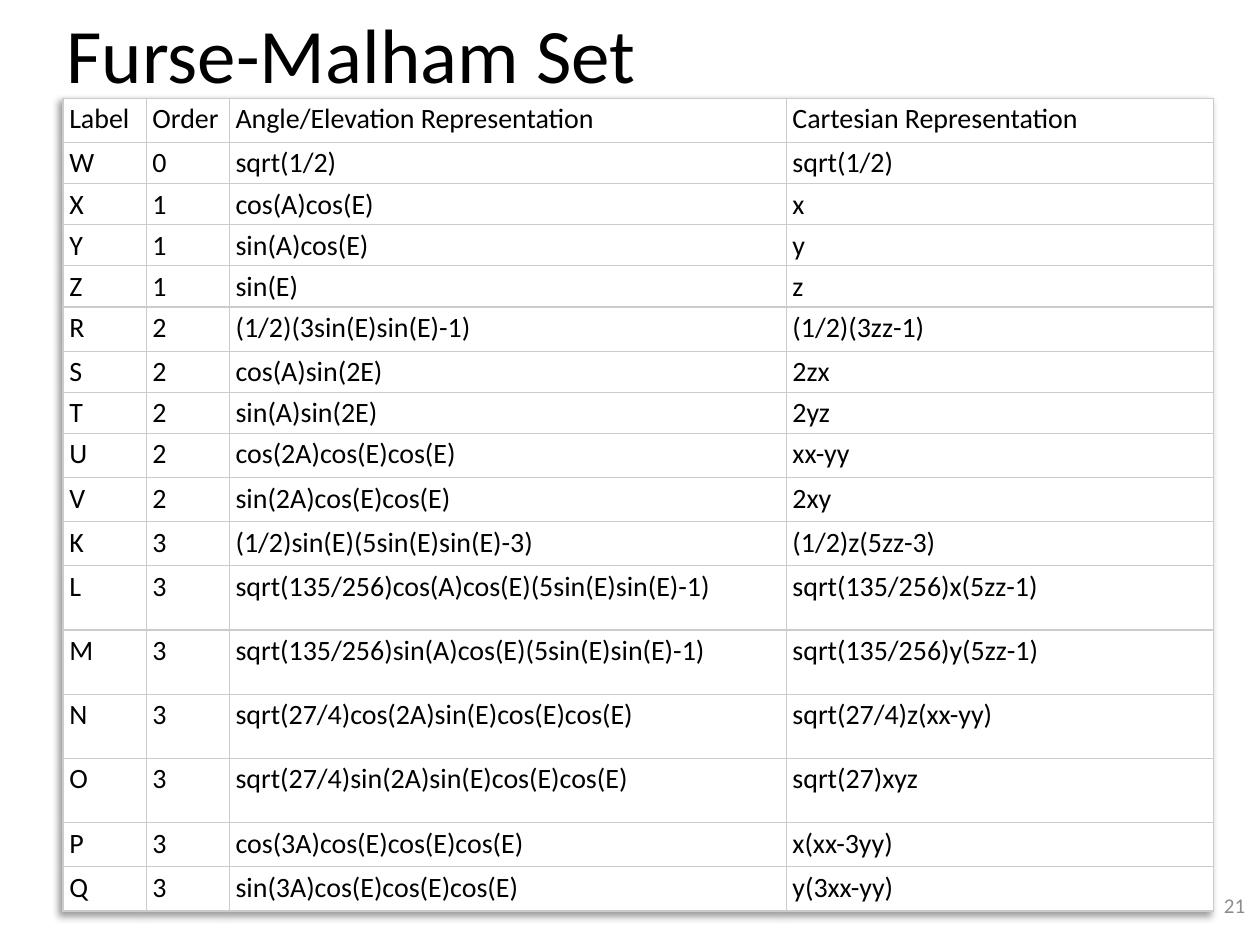
from dataclasses import dataclass

from pptx import Presentation
from pptx import util as u
from pptx.dml.color import RGBColor
from pptx.enum import text
from pptx.oxml import parse_xml
from pptx.oxml.ns import nsdecls


@dataclass(frozen=True)
class Theme:
    font: str = "Calibri"
    ink: str = "000000"
    paper: str = "FFFFFF"
    rule: str = "CCCCCC"
    mute: str = "8C8C8C"
    title: int = 44
    body: int = 16
    note: int = 12


SMALL, MID, TALL = 0.32, 0.35, 0.51
COLS = (0.66, 0.66, 4.42, 3.39)
ROWS = (
    (MID, "Label", "Order", "Angle/Elevation Representation", "Cartesian Representation"),
    (SMALL, "W", "0", "sqrt(1/2)", "sqrt(1/2)"),
    (SMALL, "X", "1", "cos(A)cos(E)", "x"),
    (SMALL, "Y", "1", "sin(A)cos(E)", "y"),
    (SMALL, "Z", "1", "sin(E)", "z"),
    (MID, "R", "2", "(1/2)(3sin(E)sin(E)-1)", "(1/2)(3zz-1)"),
    (SMALL, "S", "2", "cos(A)sin(2E)", "2zx"),
    (SMALL, "T", "2", "sin(A)sin(2E)", "2yz"),
    (MID, "U", "2", "cos(2A)cos(E)cos(E)", "xx-yy"),
    (MID, "V", "2", "sin(2A)cos(E)cos(E)", "2xy"),
    (MID, "K", "3", "(1/2)sin(E)(5sin(E)sin(E)-3)", "(1/2)z(5zz-3)"),
    (TALL, "L", "3", "sqrt(135/256)cos(A)cos(E)(5sin(E)sin(E)-1)", "sqrt(135/256)x(5zz-1)"),
    (TALL, "M", "3", "sqrt(135/256)sin(A)cos(E)(5sin(E)sin(E)-1)", "sqrt(135/256)y(5zz-1)"),
    (TALL, "N", "3", "sqrt(27/4)cos(2A)sin(E)cos(E)cos(E)", "sqrt(27/4)z(xx-yy)"),
    (TALL, "O", "3", "sqrt(27/4)sin(2A)sin(E)cos(E)cos(E)", "sqrt(27)xyz"),
    (MID, "P", "3", "cos(3A)cos(E)cos(E)cos(E)", "x(xx-3yy)"),
    (MID, "Q", "3", "sin(3A)cos(E)cos(E)cos(E)", "y(3xx-yy)"),
)


class Deck:
    """Draws styled elements on the current slide."""

    def __init__(self, theme):
        self.theme = theme
        self.prs = Presentation()
        self.prs.slide_width, self.prs.slide_height = u.Inches(10), u.Inches(7.5)
        self.slide = self.prs.slides.add_slide(self.prs.slide_layouts[6])

    def style(self, para, size, color):
        font = para.font
        font.name, font.size = self.theme.font, u.Pt(size)
        font.color.rgb = RGBColor.from_string(color)

    def label(self, words, box, size, color, align=text.PP_ALIGN.LEFT, lead=1.0):
        frame = self.slide.shapes.add_textbox(*map(u.Inches, box)).text_frame
        frame.word_wrap = True
        frame.vertical_anchor = text.MSO_ANCHOR.MIDDLE
        para = frame.paragraphs[0]
        para.text, para.alignment, para.line_spacing = words, align, lead
        self.style(para, size, color)

    def cell(self, cell, words):
        cell.text = words
        cell.margin_left = cell.margin_right = u.Inches(0.05)
        cell.margin_top = cell.margin_bottom = u.Inches(0.03)
        self.style(cell.text_frame.paragraphs[0], self.theme.body, self.theme.ink)
        props = cell._tc.get_or_add_tcPr()
        for side in ("lnL", "lnR", "lnT", "lnB"):
            props.append(parse_xml(
                f'<a:{side} {nsdecls("a")} w="{u.Pt(0.75)}"><a:solidFill>'
                f'<a:srgbClr val="{self.theme.rule}"/></a:solidFill></a:{side}>'))
        cell.fill.solid()
        cell.fill.fore_color.rgb = RGBColor.from_string(self.theme.paper)

    def table(self, left, top, cols, rows):
        size = sum(cols), sum(row[0] for row in rows)
        box = map(u.Inches, (left, top, *size))
        table = self.slide.shapes.add_table(len(rows), len(cols), *box).table
        table.first_row = table.horz_banding = False
        for col, width in zip(table.columns, cols):
            col.width = u.Inches(width)
        for row, (height, *words) in zip(table.rows, rows):
            row.height = u.Inches(height)
            for cell, word in zip(row.cells, words):
                self.cell(cell, word)
        table._tbl.tblPr.insert(0, parse_xml(
            f'<a:effectLst {nsdecls("a")}><a:outerShdw blurRad="{u.Pt(4)}" '
            f'dist="{u.Pt(3)}" dir="8100000" algn="tr" rotWithShape="0">'
            f'<a:srgbClr val="{self.theme.ink}"><a:alpha val="40000"/></a:srgbClr>'
            '</a:outerShdw></a:effectLst>'))


def main():
    theme = Theme()
    deck = Deck(theme)
    deck.label("Furse-Malham Set", (0.43, 0, 9.13, 0.93), theme.title, theme.ink, lead=0.9)
    deck.table(0.5, 0.78, COLS, ROWS)
    deck.label("21", (8.89, 6.98, 1.09, 0.4), theme.note, theme.mute, text.PP_ALIGN.RIGHT)
    deck.prs.save("out.pptx")


if __name__ == "__main__":
    main()
